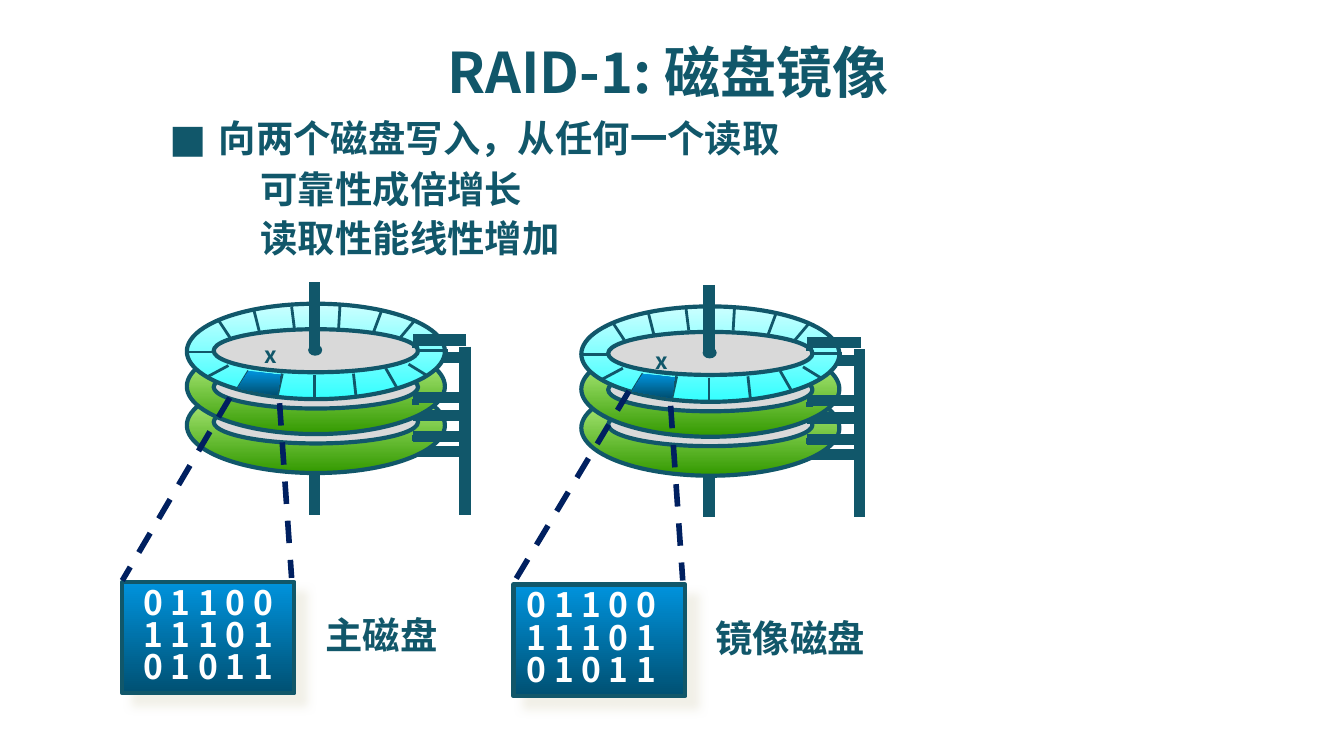
from dataclasses import dataclass
from lxml.etree import SubElement
from pptx import Presentation
from pptx.dml.color import RGBColor
from pptx.enum.dml import MSO_LINE
from pptx.enum.shapes import MSO_CONNECTOR, MSO_SHAPE
from pptx.enum.text import MSO_ANCHOR, PP_ALIGN
from pptx.oxml.ns import qn
from pptx.util import Inches, Pt


@dataclass(frozen=True)
class Theme:
    teal: str = "11576A"
    navy: str = "002060"
    white: str = "FFFFFF"
    hub: str = "D9D9D9"
    shadow: str = "EEECE1"
    green: tuple = ("CCFF99", "339900")
    cyan: tuple = ("CCFFFF", "33FFFF")
    blue: tuple = ("0093DD", "005072")
    font: str = "Noto Sans CJK SC"
    bullet_font: str = "Noto Sans CJK JP"
    title: int = 30
    body: int = 20
    bits: int = 18
    mark: int = 12


theme = Theme()
presentation = Presentation()
presentation.slide_width = Inches(10)
presentation.slide_height = Inches(10) * 9 // 16
slide = presentation.slides.add_slide(presentation.slide_layouts[6])
COLUMN = presentation.slide_width / 100
ROW = presentation.slide_height / 56.25


def add_line(left, top, right, bottom, width, color=theme.teal, dash=None):
    line = slide.shapes.add_connector(
        MSO_CONNECTOR.STRAIGHT,
        round(left * COLUMN), round(top * ROW), round(right * COLUMN), round(bottom * ROW),
    )
    line.line.color.rgb = RGBColor.from_string(color)
    line.line.width = Pt(width)
    line.line.dash_style = dash
    SubElement(line._element.spPr, qn("a:effectLst"))


def paint(shape, fill, outline):
    shape.shadow.inherit = False
    if isinstance(fill, tuple):
        shape.fill.gradient()
        shape.fill.gradient_angle = 270
        for stop, position, color in zip(shape.fill.gradient_stops, (0, 1), fill):
            stop.position = position
            stop.color.rgb = RGBColor.from_string(color)
    else:
        shape.fill.solid()
        shape.fill.fore_color.rgb = RGBColor.from_string(fill)
    if outline:
        shape.line.color.rgb = RGBColor.from_string(theme.teal)
        shape.line.width = Pt(outline)
    else:
        shape.line.fill.background()


platters = (
    (33.6, 28.1, 29.8, theme.green),
    (30.9, 25.2, 27.2, theme.green),
    (26.6, 22.6, 24.5, theme.cyan),
)
sector_ticks = (
    (33.3, 26.1, 31.2, 26.1), (23.4, 27.9, 23.4, 29.6), (28.4, 23.1, 27.8, 24.7),
    (28.7, 27.4, 29.5, 28.8), (26.3, 27.8, 26.5, 29.6), (25.2, 24.4, 25.3, 22.7),
    (29.8, 25.1, 30.9, 23.8), (30.4, 27.1, 31.7, 27.9), (21, 27.8, 20.6, 29.6),
    (15.8, 26.2, 13.9, 26.2), (18.5, 27.6, 17.7, 28.9), (18.9, 23.1, 19.3, 24.7),
    (17.1, 25.1, 16.3, 23.9), (21.9, 24.4, 21.7, 22.8), (17, 27.2, 15.5, 28),
)
sector = ((18.5, 27.6), (17.7, 28.9), (20.6, 29.4), (20.9, 27.9))
disks = (
    (0, 0, (9.1, 43.3), PP_ALIGN.CENTER,
     ((17.1, 29.6, 9.1, 43.2), (20.8, 30, 21.7, 43))),
    (29.35, 0.2, (38.2, 43.5), PP_ALIGN.LEFT,
     ((46.8, 29.1, 38.2, 43.4), (49.9, 30.2, 50.8, 43.2))),
)
texts = []

for x, y, (block_left, block_top), alignment, rays in disks:
    add_line(x + 23.4, y + 32, x + 23.4, y + 38.3, 6)
    for arm_top, ring_top, hub_top, ring_fill in platters:
        add_line(x + 34.7, y + arm_top, x + 30.7, y + arm_top, 6)
        for left, top, width, height, fill in (
            (13.9, ring_top, 19.2, 7.1, ring_fill),
            (15.9, hub_top, 15.2, 3.2, theme.hub),
        ):
            ellipse = slide.shapes.add_shape(
                MSO_SHAPE.OVAL, round((x + left) * COLUMN), round((y + top) * ROW),
                round(width * COLUMN), round(height * ROW),
            )
            paint(ellipse, fill, 2.25)
    for left, top, right, bottom in sector_ticks:
        add_line(x + left, y + top, x + right, y + bottom, 1.5)

    spindle = slide.shapes.add_shape(
        MSO_SHAPE.OVAL, round((x + 23) * COLUMN), round((y + 25.7) * ROW),
        round(0.9 * COLUMN), round(0.7 * ROW),
    )
    paint(spindle, theme.teal, 1)
    add_line(x + 23.4, y + 21, x + 23.4, y + 25.9, 6)
    for arm_top, head_top in ((25.3, 25.5), (32.5, 32.4), (29.6, 29.7)):
        add_line(x + 34.7, y + arm_top, x + 30.7, y + arm_top, 6)
        add_line(x + 30.9, y + head_top, x + 30.9, y + head_top + 0.4, 4)
    add_line(x + 34.6, y + 25.8, x + 34.6, y + 38.3, 6)

    corners = [(round((x + left) * COLUMN), round((y + top) * ROW)) for left, top in sector]
    builder = slide.shapes.build_freeform(*corners[0])
    builder.add_line_segments(corners[1:], close=True)
    paint(builder.convert_to_shape(), theme.blue, 0)

    block = slide.shapes.add_shape(
        MSO_SHAPE.RECTANGLE, round(block_left * COLUMN), round(block_top * ROW),
        round(12.8 * COLUMN), round(8.3 * ROW),
    )
    paint(block, theme.blue, 2.25)
    effects = block._element.spPr.find(qn("a:effectLst"))
    shadow = SubElement(effects, qn("a:outerShdw"), blurRad=str(Pt(5)),
                        dist=str(Pt(8.5)), dir="2700000", algn="ctr", rotWithShape="0")
    shadow_color = SubElement(shadow, qn("a:srgbClr"), val=theme.shadow)
    SubElement(shadow_color, qn("a:alpha"), val="72000")
    texts.append((block, ("0 1 1 0 0", "1 1 1 0 1", "0 1 0 1 1"), theme.bits,
                  theme.white, alignment, 0.8, False, theme.font))
    for ray in rays:
        add_line(*ray, 3, theme.navy, MSO_LINE.DASH)

labels = (
    (4.7, 2.5, 90, 5.6, "RAID-1: 磁盘镜像", theme.title, PP_ALIGN.CENTER, 1, True, theme.font),
    (15.3, 8.5, 44.1, 3.9, "向两个磁盘写入，从任何一个读取", theme.body, PP_ALIGN.LEFT, 0.9, True, theme.font),
    (11.6, 8.3, 4.7, 4.4, "■", theme.body, PP_ALIGN.LEFT, 1, True, theme.bullet_font),
    (18.4, 11.7, 23.4, 4.7, "可靠性成倍增长", theme.body, PP_ALIGN.LEFT, 1, True, theme.font),
    (18.4, 15.3, 25.8, 4.7, "读取性能线性增加", theme.body, PP_ALIGN.LEFT, 1, True, theme.font),
    (23.2, 45.4, 10.4, 4.1, "主磁盘", theme.body, PP_ALIGN.CENTER, 0.9, False, theme.font),
    (52.1, 45.6, 13.4, 4.1, "镜像磁盘", theme.body, PP_ALIGN.CENTER, 0.9, False, theme.font),
    (18.7, 24.9, 3, 3, "x", theme.mark, PP_ALIGN.LEFT, 1, False, theme.font),
    (47.8, 25.3, 3, 3, "x", theme.mark, PP_ALIGN.LEFT, 1, False, theme.font),
)
for left, top, width, height, words, size, alignment, spacing, wrap, font in labels:
    box = slide.shapes.add_textbox(
        round(left * COLUMN), round(top * ROW), round(width * COLUMN), round(height * ROW)
    )
    texts.append((box, (words,), size, theme.teal, alignment, spacing, wrap, font))

for shape, lines, size, color, alignment, spacing, wrap, font in texts:
    frame = shape.text_frame
    frame.word_wrap = wrap
    frame.vertical_anchor = MSO_ANCHOR.MIDDLE
    for index, words in enumerate(lines):
        paragraph = frame.add_paragraph() if index else frame.paragraphs[0]
        paragraph.alignment = alignment
        paragraph.line_spacing = spacing
        run = paragraph.add_run()
        run.text = words
        run.font.name = font
        run.font.size = Pt(size)
        run.font.bold = True
        run.font.color.rgb = RGBColor.from_string(color)
        SubElement(run.font._element, qn("a:ea"), typeface=font)

presentation.save("out.pptx")
